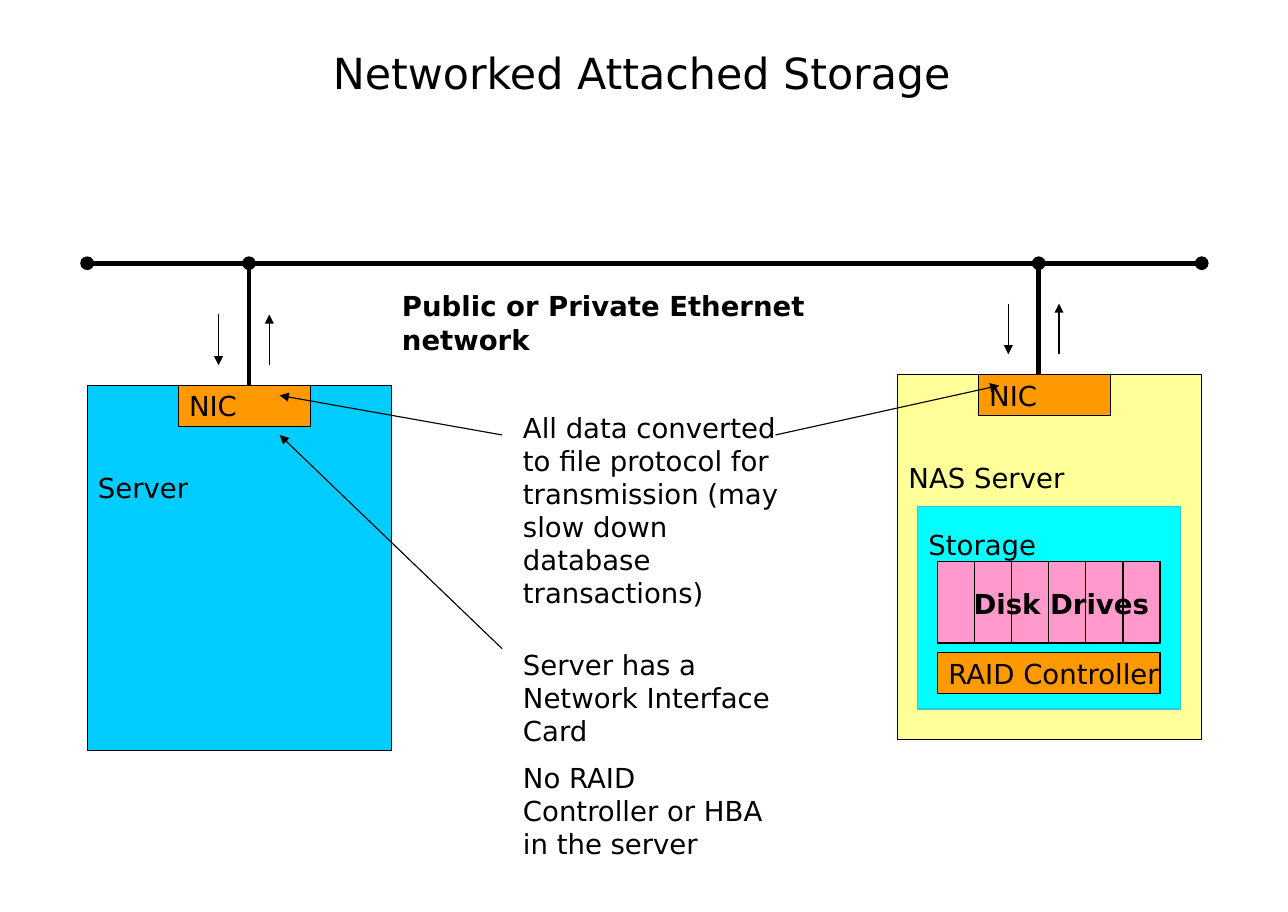
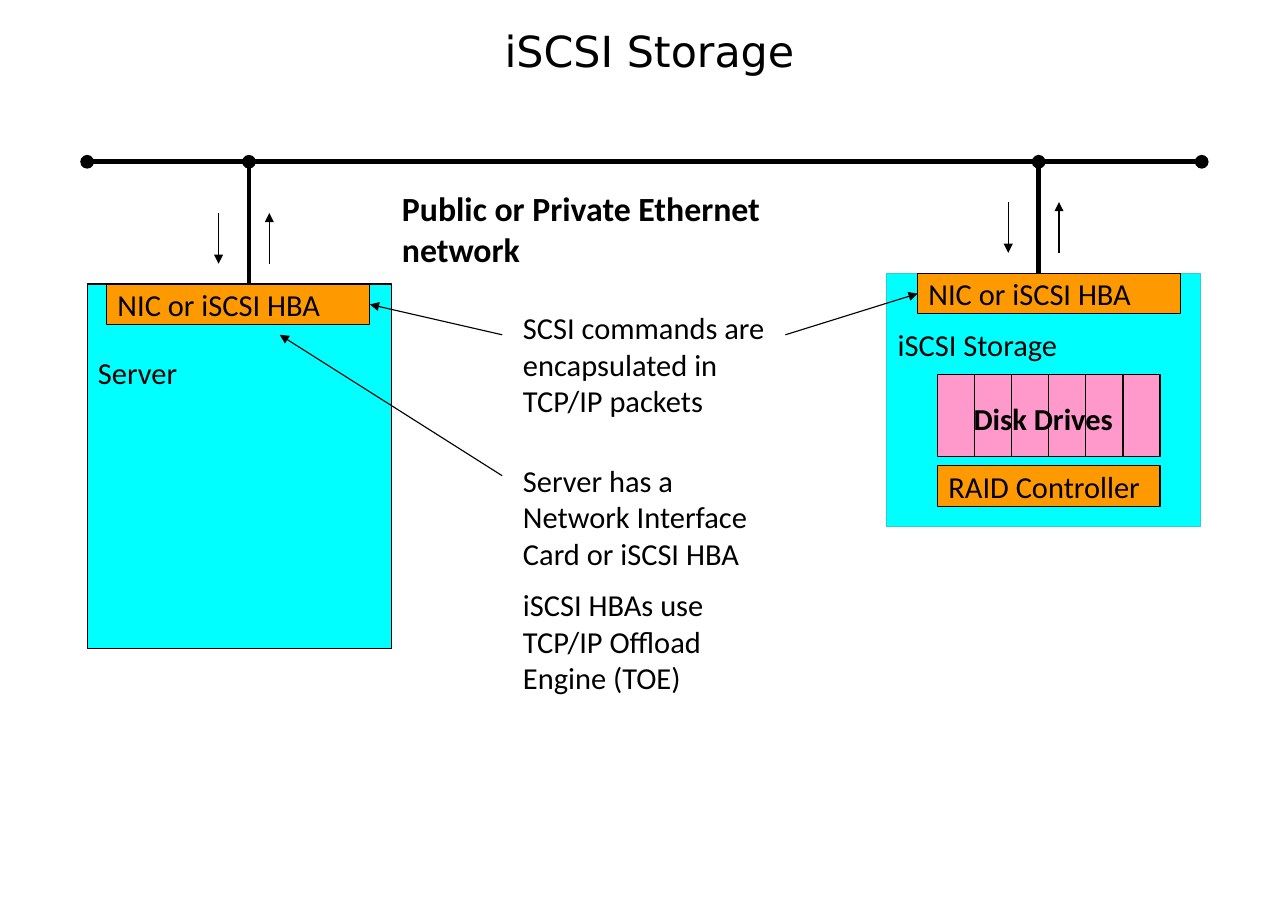
from lxml.etree import SubElement
from pptx import Presentation
from pptx.dml.color import RGBColor
from pptx.enum.shapes import MSO_CONNECTOR, MSO_SHAPE
from pptx.enum.text import MSO_ANCHOR, PP_ALIGN
from pptx.oxml.ns import qn
from pptx.util import Cm, Pt

BLACK, ORANGE, PINK = "000000", "FF9900", "FF99CC"
CYAN, TEAL, BLUE, YELLOW = "00FFFF", "33CCCC", "00CCFF", "FFFF99"
TITLE_FONT = "DejaVu Sans"
NETWORK = "Public or Private Ethernet network"
BUS_LEFT, BUS_RIGHT = 2.01, 27.71
SERVER_DROP, STORAGE_DROP = 2.82, 2.57
SERVER_LINK, STORAGE_LINK = 5.74, 23.95
BAR_HEIGHT = 0.94
DRIVES_LEFT, DRIVES_WIDTH, DRIVES_HEIGHT, DRIVE_COUNT = 21.62, 5.13, 1.88, 6

SLIDES = [
    {
        "title": "Networked Attached Storage",
        "title_place": (1.98, 0.05, 25.63, 3.38),
        "font": "DejaVu Sans", "size": 18, "network_size": 18,
        "bus": 6.07, "drives": 12.95,
        "server_fill": BLUE, "server_label_drop": 1.98,
        "storage": [
            ("NAS Server", (20.7, 8.64, 7.01, 8.41), YELLOW, BLACK, 1.98),
            ("Storage", (21.16, 11.68, 6.07, 4.67), CYAN, TEAL, 0.49),
        ],
        "nic": "NIC", "nic_width": 3.05, "nic_lefts": (4.11, 22.56),
        "notes": [
            ((11.81, 9.35, 6.55, 4.88),
             ["All data converted to file protocol for transmission "
              "(may slow down database transactions)"]),
            ((11.81, 14.81, 6.3, 5.26),
             ["Server has a Network Interface Card",
              "No RAID Controller or HBA in the server"]),
        ],
        "pointers": [
            ((11.58, 10.03), (6.45, 9.12), None),
            ((17.88, 10.03), (23.04, 8.89), None),
            ((11.58, 14.96), (6.45, 10.03), None),
        ],
    },
    {
        "title": "iSCSI Storage",
        "title_place": (2.16, -0.08, 25.63, 2.64),
        "font": "Calibri", "size": 19.9, "network_size": 22.1,
        "bus": 3.73, "drives": 8.64,
        "server_fill": CYAN, "server_label_drop": 1.62,
        "storage": [
            ("iSCSI Storage", (20.45, 6.3, 7.24, 5.84), CYAN, TEAL, 1.21),
        ],
        "nic": "NIC or iSCSI HBA", "nic_width": 6.07, "nic_lefts": (2.46, 21.16),
        "notes": [
            ((11.81, 7.01, 6.55, 4.09),
             ["SCSI commands are encapsulated in TCP/IP packets"]),
            ((11.81, 10.52, 6.3, 5.77),
             ["Server has a Network Interface Card or iSCSI HBA",
              "iSCSI HBAs use TCP/IP Offload Engine (TOE)"]),
        ],
        "pointers": [
            ((11.58, 7.72), (8.53, 7.02), (0, 3)),
            ((18.11, 7.72), (21.16, 6.77), (1, 1)),
            ((11.58, 10.97), (6.45, 7.72), None),
        ],
    },
]


def color(value):
    return RGBColor.from_string(value)


def lengths(values):
    return [Cm(value) for value in values]


def add_run(para, text, font, size, bold=False):
    span = para.add_run()
    span.text = text
    span.font.name = font
    span.font.size = Pt(size)
    span.font.bold = bold
    span.font.color.rgb = color(BLACK)


def add_text(slide, place, texts, font, size, bold=False):
    box = slide.shapes.add_textbox(*lengths(place))
    frame = box.text_frame
    frame.word_wrap = True
    for index, text in enumerate(texts):
        para = frame.add_paragraph() if index else frame.paragraphs[0]
        if index:
            para.space_before = Pt(size / 2)
        add_run(para, text, font, size, bold)
    return box


def add_box(shapes, place, fill, line=BLACK):
    box = shapes.add_shape(MSO_SHAPE.RECTANGLE, *lengths(place))
    box.shadow.inherit = False
    box.fill.solid()
    box.fill.fore_color.rgb = color(fill)
    box.line.color.rgb = color(line)
    box.line.width = Pt(0.75)
    return box


def add_labelled_box(slide, place, fill, text, style, line=BLACK, label_drop=None):
    box = add_box(slide.shapes, place, fill, line)
    frame = box.text_frame
    frame.word_wrap = False
    frame.vertical_anchor = MSO_ANCHOR.MIDDLE
    if label_drop is not None:
        frame.vertical_anchor = MSO_ANCHOR.TOP
        frame.margin_top = Cm(label_drop)
    para = frame.paragraphs[0]
    para.alignment = PP_ALIGN.LEFT
    add_run(para, text, *style)
    return box


def add_line(shapes, start, end, width=0.75, head=None, tail=None):
    line = shapes.add_connector(MSO_CONNECTOR.STRAIGHT, *lengths(start + end))
    line.line.color.rgb = color(BLACK)
    line.line.width = Pt(width)
    properties = line._element.spPr
    outline = properties.find(qn("a:ln"))
    for tag, kind in (("a:headEnd", head), ("a:tailEnd", tail)):
        if kind:
            SubElement(outline, qn(tag)).set("type", kind)
    SubElement(properties, qn("a:effectLst"))
    return line


def add_title(slide, text, place):
    box = add_text(slide, place, [text], TITLE_FONT, 28)
    box.text_frame.vertical_anchor = MSO_ANCHOR.MIDDLE
    para = box.text_frame.paragraphs[0]
    para.alignment = PP_ALIGN.CENTER
    para.line_spacing = 0.9


def add_drives(slide, top, style):
    raid_place = (DRIVES_LEFT, top + 2.1, DRIVES_WIDTH, BAR_HEIGHT)
    add_labelled_box(slide, raid_place, ORANGE, "RAID Controller", style)
    group = slide.shapes.add_group_shape()
    add_box(group.shapes, (DRIVES_LEFT, top, DRIVES_WIDTH, DRIVES_HEIGHT), PINK)
    for index in range(1, DRIVE_COUNT):
        x = DRIVES_LEFT + index * DRIVES_WIDTH / DRIVE_COUNT
        add_line(group.shapes, (x, top), (x, top + DRIVES_HEIGHT))
    label_place = (DRIVES_LEFT + 0.58, top + 0.47, 4.57, 1.02)
    add_text(slide, label_place, ["Disk Drives"], *style, bold=True)


def add_link(slide, x, bus, top):
    add_line(slide.shapes, (x, top), (x, bus), 3, tail="oval")
    upper, lower = top - 1.64, top - 0.47
    add_line(slide.shapes, (x + 0.47, lower), (x + 0.47, upper), tail="triangle")
    add_line(slide.shapes, (x - 0.7, upper), (x - 0.7, lower), tail="triangle")


def build_slide(deck, page):
    slide = deck.slides.add_slide(deck.slide_layouts[6])
    style = (page["font"], page["size"])
    bus = page["bus"]
    tops = (bus + SERVER_DROP, bus + STORAGE_DROP)

    add_title(slide, page["title"], page["title_place"])
    for text, place, fill, line, label_drop in page["storage"]:
        add_labelled_box(slide, place, fill, text, style, line, label_drop)
    add_text(slide, (9.02, bus + 0.48, 11.46, 1.8), [NETWORK],
             page["font"], page["network_size"], bold=True)
    add_drives(slide, page["drives"], style)
    for place, texts in page["notes"]:
        add_text(slide, place, texts, *style)
    add_labelled_box(slide, (BUS_LEFT, tops[0], 7.01, 8.41), page["server_fill"],
                     "Server", style, label_drop=page["server_label_drop"])
    nics = [
        add_labelled_box(slide, (left, top, page["nic_width"], BAR_HEIGHT),
                         ORANGE, page["nic"], style)
        for left, top in zip(page["nic_lefts"], tops)
    ]

    add_line(slide.shapes, (BUS_LEFT, bus), (BUS_RIGHT, bus), 3, "oval", "oval")
    for x, top in zip((SERVER_LINK, STORAGE_LINK), tops):
        add_link(slide, x, bus, top)
    for start, end, joint in page["pointers"]:
        pointer = add_line(slide.shapes, start, end, tail="triangle")
        if joint:
            nic, side = joint
            pointer.end_connect(nics[nic], side)


def main():
    deck = Presentation()
    deck.slide_width, deck.slide_height = Cm(29.7), Cm(21.03)
    for page in SLIDES:
        build_slide(deck, page)
    deck.save("out.pptx")


if __name__ == "__main__":
    main()
